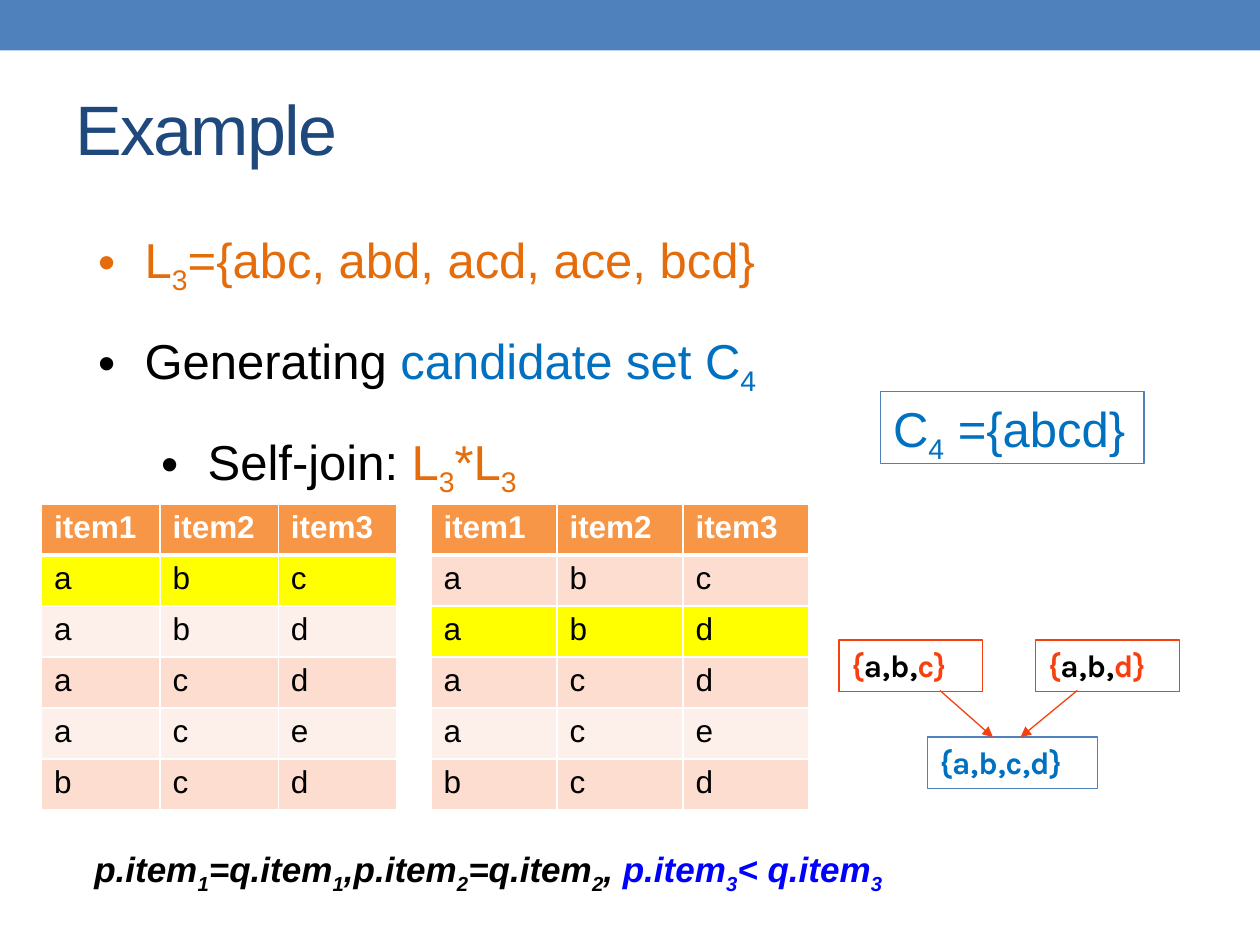
from pptx import Presentation
from pptx.dml.color import RGBColor
from pptx.enum.shapes import MSO_CONNECTOR, MSO_SHAPE
from pptx.enum.text import MSO_ANCHOR, PP_ALIGN
from pptx.oxml.ns import qn
from pptx.util import Inches, Pt
from lxml.etree import SubElement

COLORS = {
    "blue": "4F81BD", "navy": "1F497D", "orange": "E46C0A", "sky": "0070C0",
    "black": "000000", "link": "0000FF", "red": "F8400E", "white": "FFFFFF",
    "head": "F79646", "mark": "FFFF00", "odd": "FCDDCF", "even": "FDEFE9",
}

# Content: runs are (text, color); "_" before a character makes it a subscript
TITLE = [("Example", "navy")]
BULLETS = [
    (0, [("L_3={abc, abd, acd, ace, bcd}", "orange")]),
    (0, [("Generating ", "black"), ("candidate set C_4", "sky")]),
    (1, [("Self-join: ", "black"), ("L_3*L_3", "orange")]),
]
JOIN = [("p.item_1=q.item_1,p.item_2=q.item_2, ", "black"),
        ("p.item_3< q.item_3", "link")]
RESULT = [("C_4 ={abcd}", "sky")]
HEADER = ["item1", "item2", "item3"]
ITEMSETS = ["abc", "abd", "acd", "ace", "bcd"]
TABLES = [(0.33, 0.94, 1), (3.42, 1, 2)]  # left, column width, marked row
NODES = [  # left, top, width, line color, runs
    (6.66, 5.08, 1.14, "red", [("{", "red"), ("a,b,", "black"), ("c}", "red")]),
    (8.22, 5.08, 1.14, "red", [("{", "red"), ("a,b,", "black"), ("d}", "red")]),
    (7.36, 5.85, 1.35, "blue", [("{a,b,c,d}", "sky")]),
]
ARROWS = [((7.46, 5.48), (7.88, 5.85)), ((8.55, 5.48), (8.1, 5.85))]
ROW_H = 0.405


def rgb(name):
    return RGBColor.from_string(COLORS[name])


def add_runs(p, runs, **font):
    for text, color in runs:
        for i, part in enumerate(text.split("_")):
            pieces = [(part[:1], True), (part[1:], False)] if i else [(part, False)]
            for piece, sub in pieces:
                if not piece:
                    continue
                r = p.add_run()
                r.text = piece
                for key, value in {"name": "Arial", **font}.items():
                    setattr(r.font, key, value)
                r.font.color.rgb = rgb(color)
                if sub:
                    r.font._element.set("baseline", "-25000")


def add_text(box, runs=None, wrap=False, **font):
    tf = box.text_frame
    tf.word_wrap = wrap
    tf.vertical_anchor = MSO_ANCHOR.TOP
    if runs:
        p = tf.paragraphs[0]
        p.alignment = PP_ALIGN.LEFT
        add_runs(p, runs, **font)
    return tf


def add_rect(s, at, line=None, fill=None):
    sp = s.shapes.add_shape(MSO_SHAPE.RECTANGLE, *map(Inches, at))
    sp.shadow.inherit = False
    if fill:
        sp.fill.solid()
        sp.fill.fore_color.rgb = rgb(fill)
    else:
        sp.fill.background()
    if line:
        sp.line.color.rgb = rgb(line)
        sp.line.width = Pt(0.75)
    else:
        sp.line.fill.background()
    return sp


def add_bullets(tf):
    for i, (level, runs) in enumerate(BULLETS):
        p = tf.add_paragraph() if i else tf.paragraphs[0]
        p.level = level
        p.line_spacing = 1.3
        p.space_before = Pt(8 if i else 0)
        pPr = p._p.get_or_add_pPr()
        pPr.set("marL", str(Inches(0.37 + 0.5 * level)))
        pPr.set("indent", str(Inches(-0.37)))
        SubElement(pPr, qn("a:buFont"), typeface="Arial")
        SubElement(pPr, qn("a:buChar"), char="•")
        add_runs(p, runs, size=Pt(28))


def style_cell(cell, text, row, marked):
    head = row == 0
    fill = "head" if head else "mark" if row == marked else "odd" if row % 2 else "even"
    add_runs(cell.text_frame.paragraphs[0], [(text, "white" if head else "black")],
             size=Pt(18), bold=head)
    tcPr = cell._tc.get_or_add_tcPr()
    for side in ("lnL", "lnR", "lnT", "lnB"):
        thick = (head and side == "lnB") or (row == 1 and side == "lnT")
        ln = SubElement(tcPr, qn(f"a:{side}"), w=str(Pt(3 if thick else 1)))
        SubElement(SubElement(ln, qn("a:solidFill")), qn("a:srgbClr"), val=COLORS["white"])
    cell.fill.solid()
    cell.fill.fore_color.rgb = rgb(fill)


def add_item_table(s, left, col_w, marked):
    rows = [HEADER, *ITEMSETS]
    size = (left, 4, col_w * len(HEADER), ROW_H * len(rows))
    table = s.shapes.add_table(len(rows), len(HEADER), *map(Inches, size)).table
    for col in table.columns:
        col.width = Inches(col_w)
    for i, row in enumerate(rows):
        table.rows[i].height = Inches(ROW_H)
        for j, text in enumerate(row):
            style_cell(table.cell(i, j), text, i, marked)


def add_arrow(s, start, end):
    line = s.shapes.add_connector(MSO_CONNECTOR.STRAIGHT, *map(Inches, start + end))
    line.line.color.rgb = rgb("red")
    line.line.width = Pt(0.75)
    SubElement(line.line._get_or_add_ln(), qn("a:tailEnd"), type="triangle")
    SubElement(line._element.spPr, qn("a:effectLst"))


def main():
    prs = Presentation()
    prs.slide_width, prs.slide_height = Inches(10), Inches(7.5)
    s = prs.slides.add_slide(prs.slide_layouts[6])

    # Top band, bullets and title
    add_rect(s, (0, 0, 10, 0.4), fill="blue")
    body = s.shapes.add_textbox(*map(Inches, (0.68, 1.53, 6.78, 2.81)))
    tf = add_text(body, wrap=True)
    tf.margin_top = Inches(0.13)
    add_bullets(tf)
    title = s.shapes.add_textbox(*map(Inches, (0.5, 0.58, 9, 1.08)))
    tf = add_text(title, TITLE, wrap=True, size=Pt(40))
    tf.margin_top = Inches(0.1)
    tf.paragraphs[0].runs[0].font._element.set("spc", "-100")

    # Join condition
    join = s.shapes.add_textbox(*map(Inches, (0.65, 6.68, 6.62, 0.44)))
    add_text(join, JOIN, size=Pt(20), bold=True, italic=True)

    # Join diagram
    for left, top, width, line, runs in NODES:
        node = add_rect(s, (left, top, width, 0.41), line)
        add_text(node, runs, name="Karla", size=Pt(18), bold=True)
    for start, end in ARROWS:
        add_arrow(s, start, end)

    # Item tables and resulting candidate set
    for left, col_w, marked in TABLES:
        add_item_table(s, left, col_w, marked)
    add_text(add_rect(s, (6.99, 3.11, 2.09, 0.57), "blue"), RESULT, size=Pt(28))

    prs.save("out.pptx")


if __name__ == "__main__":
    main()
